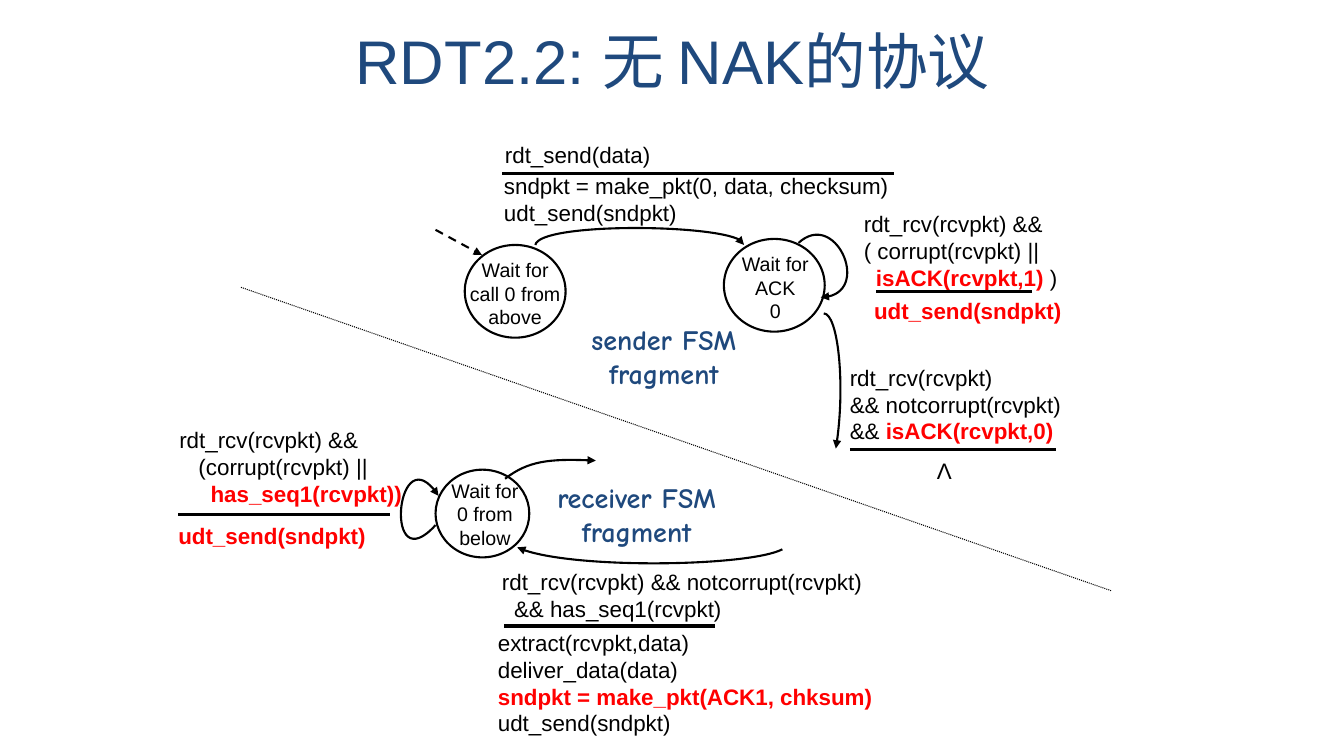
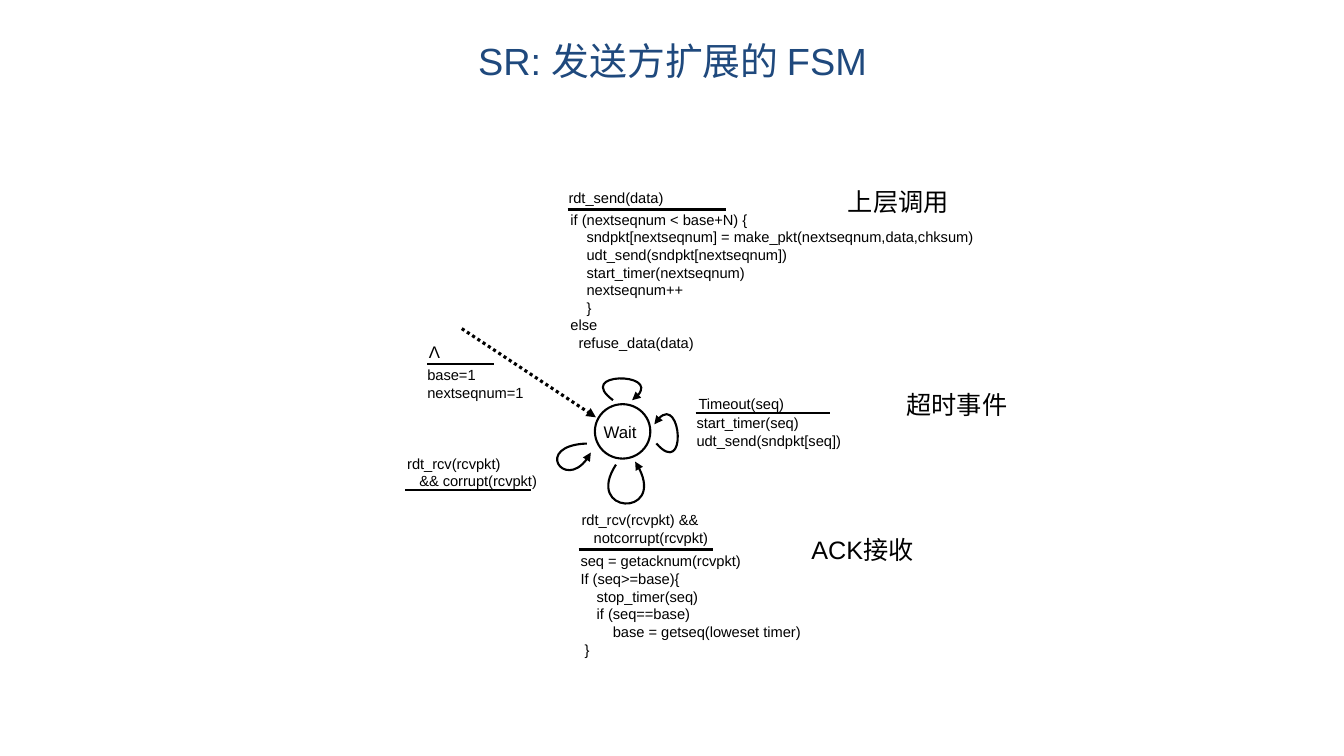
import dataclasses

import pptx
import pptx.dml.color
import pptx.enum.dml
import pptx.enum.shapes
import pptx.enum.text
import pptx.oxml
import pptx.oxml.ns
import pptx.oxml.xmlchemy
import pptx.util

PX = 9144
BLACK = pptx.dml.color.RGBColor(0x00, 0x00, 0x00)
WHITE = pptx.dml.color.RGBColor(0xFF, 0xFF, 0xFF)
RED = pptx.dml.color.RGBColor(0xFF, 0x00, 0x00)
NAVY = pptx.dml.color.RGBColor(0x1F, 0x49, 0x7D)
SANS = "Arial"
SERIF = "Times New Roman"
COMIC = "Comic Neue"
HAN = "Noto Sans CJK SC"
DASH = pptx.enum.dml.MSO_LINE.DASH
DOTS = pptx.enum.dml.MSO_LINE.ROUND_DOT
LEFT = pptx.enum.text.PP_ALIGN.LEFT
MID = pptx.enum.text.PP_ALIGN.CENTER
PLAIN = pptx.enum.text.MSO_AUTO_SIZE.NONE


@dataclasses.dataclass
class Hot:
    text: str


@dataclasses.dataclass
class Line:
    dent: int
    runs: list


def emu(*vals):
    return [pptx.util.Emu(val * PX) for val in vals]


def node(base, tag, **attrs):
    item = pptx.oxml.xmlchemy.OxmlElement(tag)
    for key, val in attrs.items():
        item.set(key, val)
    base.append(item)
    return item


def add_run(para, part, size, font, color, bold):
    hot = isinstance(part, Hot)
    run = para.add_run()
    run.text = part.text if hot else part
    run.font.size = pptx.util.Pt(size)
    run.font.name = font
    run.font.bold = bold or hot
    run.font.color.rgb = RED if hot else color
    node(run.font._element, "a:ea", typeface=HAN)


def fill_text(frame, lines, size, font=SANS, color=BLACK, align=LEFT, bold=False):
    for num, line in enumerate(lines):
        para = frame.add_paragraph() if num else frame.paragraphs[0]
        para.alignment = align
        if not isinstance(line, Line):
            line = Line(0, [line])
        if line.dent:
            para._p.get_or_add_pPr().set("marL", str(line.dent * PX))
        for part in line.runs:
            add_run(para, part, size, font, color, bold)


def add_text(shapes, box, lines, size, wrap=True, **style):
    frame = shapes.add_textbox(*emu(*box)).text_frame
    frame.word_wrap = wrap
    frame.auto_size = PLAIN
    fill_text(frame, lines, size, **style)


def add_state(slide, oval, box, lines, size):
    shapes = slide.shapes.add_group_shape().shapes
    ring = shapes.add_shape(pptx.enum.shapes.MSO_SHAPE.OVAL, *emu(*oval))
    ring.shadow.inherit = False
    ring.fill.solid()
    ring.fill.fore_color.rgb = WHITE
    pen(ring, 1.5)
    add_text(shapes, box, lines, size, align=MID)


def pen(shape, width, dash=None, arrow=False):
    shape.line.color.rgb = BLACK
    shape.line.width = pptx.util.Pt(width)
    if dash:
        shape.line.dash_style = dash
    if arrow:
        node(shape.line._get_or_add_ln(), "a:tailEnd", type="triangle")


def add_line(slide, ends, width=2.25, dash=None, arrow=False):
    kind = pptx.enum.shapes.MSO_CONNECTOR.STRAIGHT
    line = slide.shapes.add_connector(kind, *emu(*ends))
    pen(line, width, dash, arrow)
    node(line._element.spPr, "a:effectLst")


def add_rule(slide, left, right, top, width=2.25):
    add_line(slide, (left, top, right, top), width)


def add_curve(slide, start, *points):
    form = slide.shapes.build_freeform(*start, scale=PX)
    form.add_line_segments(points, close=False)
    shape = form.convert_to_shape()
    shape.shadow.inherit = False
    shape.fill.background()
    pen(shape, 1.5, arrow=True)
    steps = list(shape._element.iter(pptx.oxml.ns.qn("a:lnTo")))
    curve = pptx.oxml.xmlchemy.OxmlElement("a:cubicBezTo")
    steps[0].addprevious(curve)
    for step in steps:
        curve.append(step[0])
        step.getparent().remove(step)


def add_slide(deck, title, size):
    slide = deck.slides.add_slide(deck.slide_layouts[5])
    head = slide.shapes.title
    head.left, head.top, head.width, head.height = emu(67, 28, 1200, 63)
    frame = head.text_frame
    frame.word_wrap = True
    frame.auto_size = PLAIN
    frame.vertical_anchor = pptx.enum.text.MSO_ANCHOR.MIDDLE
    fill_text(frame, [title], size, color=NAVY, align=MID)
    return slide


def draw_rdt(deck):
    slide = add_slide(deck, "RDT2.2: 无 NAK的协议", 44)
    states = [
        ((461, 243, 100, 92), (453, 251, 116, 67), ["Wait for call 0 from above"]),
        ((718, 237, 100, 92), (711, 245, 116, 67), ["Wait for ACK", "0"]),
        ((432, 466, 93, 87), (437, 470, 88, 67), ["Wait for ", "0 from below"]),
    ]
    for oval, box, lines in states:
        add_state(slide, oval, box, lines, 14)

    texts = [
        ((491, 135, 189, 31), ["rdt_send(data)"]),
        ((490, 166, 407, 44),
         ["sndpkt = make_pkt(0, data, checksum)", "udt_send(sndpkt)"]),
        ((847, 204, 297, 62),
         ["rdt_rcv(rcvpkt) &&", "( corrupt(rcvpkt) ||",
          Line(12, [Hot("isACK(rcvpkt,1)"), " )"])]),
        ((857, 290, 232, 44), [Hot("udt_send(sndpkt)")]),
        ((833, 356, 264, 62),
         ["rdt_rcv(rcvpkt)", "&& notcorrupt(rcvpkt)",
          Line(0, ["&& ", Hot("isACK(rcvpkt,0)")])]),
        ((168, 418, 258, 70),
         ["rdt_rcv(rcvpkt) &&", Line(19, ["(corrupt(rcvpkt) ||"]),
          Line(31, [Hot("has_seq1(rcvpkt))")])]),
        ((167, 513, 223, 45), [Hot("udt_send(sndpkt)")]),
        ((488, 559, 431, 62),
         ["rdt_rcv(rcvpkt) && notcorrupt(rcvpkt)",
          Line(12, ["&& has_seq1(rcvpkt)"])]),
        ((484, 619, 457, 76),
         ["extract(rcvpkt,data)", "deliver_data(data)",
          Hot("sndpkt = make_pkt(ACK1, chksum)"), "udt_send(sndpkt)"]),
    ]
    for box, lines in texts:
        add_text(slide.shapes, box, lines, 16)
    add_text(slide.shapes, (916, 449, 41, 37), ["Λ"], 16, align=MID)

    for box, name in [((568, 315, 181, 77), "sender FSM"),
                      ((531, 472, 201, 77), "receiver FSM")]:
        add_text(slide.shapes, box, [name, "fragment"], 20, wrap=False,
                 font=COMIC, color=NAVY, align=MID, bold=True)

    for rule in [(498, 887, 172), (869, 1024, 289), (843, 1047, 446),
                 (500, 709, 621), (177, 387, 510)]:
        add_rule(slide, *rule)
    add_line(slide, (432, 228, 478, 253), 1.5, DASH, arrow=True)
    add_line(slide, (239, 285, 1102, 586), 0.75, DOTS)

    for curve in [
        ((531, 243), (535, 221), (738, 222), (738, 243)),
        ((792, 241), (828, 208), (867, 294), (814, 295)),
        ((817, 311), (831, 311), (839, 385), (829, 445)),
        ((501, 475), (524, 457), (549, 455), (591, 457)),
        ((776, 545), (743, 562), (559, 565), (513, 543)),
        ((432, 521), (381, 577), (393, 428), (435, 492)),
    ]:
        add_curve(slide, *curve)


def draw_sr(deck):
    slide = add_slide(deck, "SR: 发送方扩展的 FSM", 27)
    add_state(slide, (590, 401, 55, 54), (582, 413, 66, 20), ["Wait"], 12)

    for box, name, font in [((808, 180, 166, 40), "上层调用", SERIF),
                            ((739, 525, 233, 40), "ACK接收", SANS),
                            ((885, 381, 128, 40), "超时事件", HAN)]:
        add_text(slide.shapes, box, [name], 18, font=font, align=MID)

    texts = [
        ((681, 406, 228, 68), ["start_timer(seq)", "udt_send(sndpkt[seq])"]),
        ((683, 387, 112, 19), ["Timeout(seq)"]),
        ((554, 182, 191, 21), ["rdt_send(data)"]),
        ((556, 204, 453, 157),
         ["if (nextseqnum < base+N) {",
          Line(16, ["sndpkt[nextseqnum] = make_pkt(nextseqnum,data,chksum)"]),
          Line(16, ["udt_send(sndpkt[nextseqnum])"]),
          Line(16, ["start_timer(nextseqnum)"]),
          Line(16, ["nextseqnum++"]), Line(16, ["}"]),
          "else", Line(8, ["refuse_data(data)"])]),
        ((566, 543, 302, 68),
         ["seq = getacknum(rcvpkt)", "If (seq>=base){",
          Line(16, ["stop_timer(seq)"]), Line(16, ["if (seq==base)"]),
          Line(32, ["base = getseq(loweset timer)"]), Line(4, ["}"])]),
        ((567, 502, 232, 37),
         ["rdt_rcv(rcvpkt) &&", Line(12, ["notcorrupt(rcvpkt)"])]),
        ((414, 358, 122, 41), ["base=1", "nextseqnum=1"]),
        ((394, 446, 168, 37),
         ["rdt_rcv(rcvpkt)", Line(12, ["&& corrupt(rcvpkt)"])]),
    ]
    for box, lines in texts:
        add_text(slide.shapes, box, lines, 10.5)
    add_text(slide.shapes, (415, 334, 32, 30), ["Λ"], 12, wrap=False, align=MID)

    for rule in [(690, 823, 410, 1.5), (563, 720, 208), (574, 707, 545),
                 (424, 490, 361, 1.5), (402, 527, 486, 1.5)]:
        add_rule(slide, *rule)
    add_line(slide, (458, 326, 591, 414), 2.25, DOTS, arrow=True)

    for curve in [
        ((651, 440), (682, 475), (675, 381), (649, 421)),
        ((608, 397), (570, 369), (665, 369), (627, 397)),
        ((611, 461), (579, 510), (666, 514), (630, 458)),
        ((582, 440), (529, 442), (563, 492), (586, 449)),
    ]:
        add_curve(slide, *curve)


def main():
    deck = pptx.Presentation()
    deck.slide_width, deck.slide_height = emu(1333, 750)
    draw_rdt(deck)
    draw_sr(deck)
    deck.save("out.pptx")


if __name__ == "__main__":
    main()
